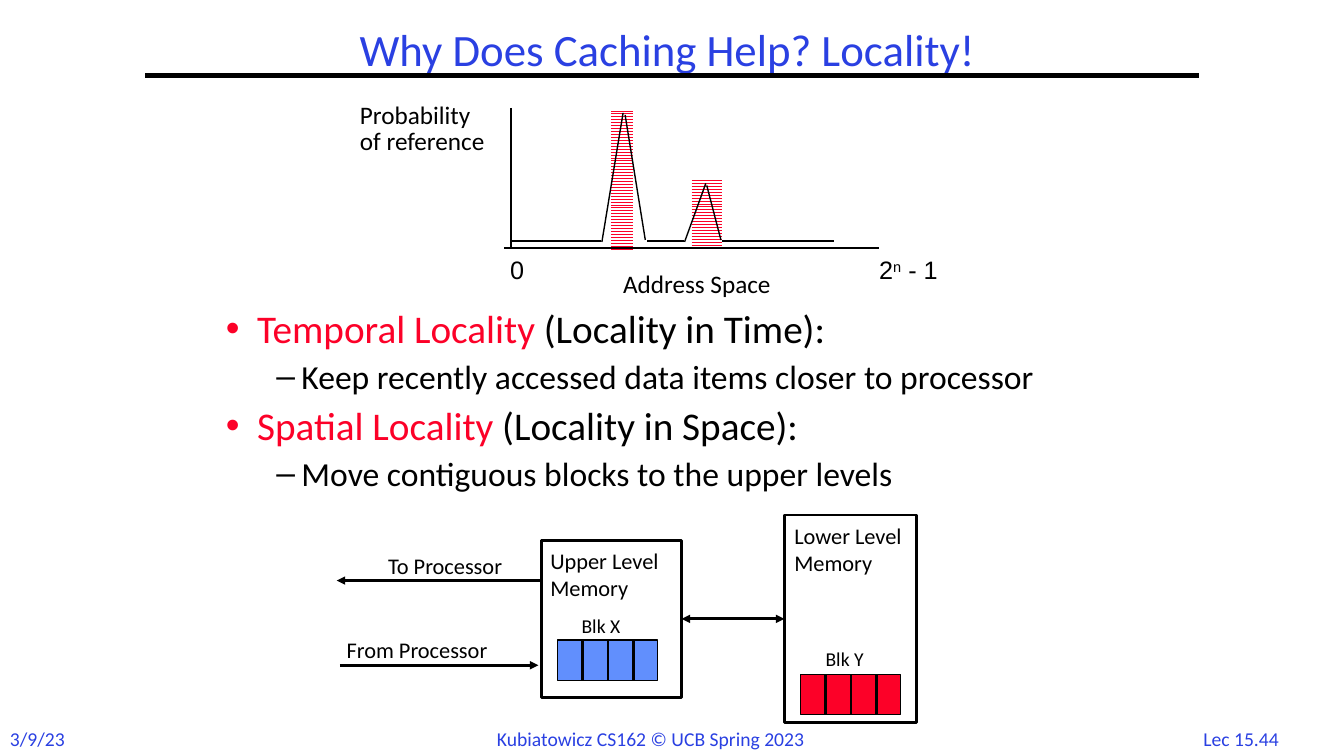
from lxml.etree import SubElement
from pptx import Presentation
from pptx.dml.color import RGBColor
from pptx.enum.dml import MSO_PATTERN
from pptx.enum.shapes import MSO_CONNECTOR, MSO_SHAPE
from pptx.enum.text import MSO_ANCHOR, MSO_AUTO_SIZE, PP_ALIGN
from pptx.oxml.ns import qn
from pptx.util import Pt

PX = 9144  # 100 px to the inch
THEME = dict(
    ink=RGBColor.from_string("000000"), paper=RGBColor.from_string("FFFFFF"),
    accent=RGBColor.from_string("2A40E2"), red=RGBColor.from_string("FC0128"),
    blue=RGBColor.from_string("618FFD"), font="Calibri", axis_font="Arial",
    title=32, topic=28, detail=24, chart=18, box=16, small=14,
)


def write(p, text, size="box", color="ink", font="font", raised=False):
    r = p.add_run()
    r.text = text
    r.font.size = Pt(THEME[size])
    r.font.name = THEME[font]
    r.font.color.rgb = THEME[color]
    if raised:
        r._r.get_or_add_rPr().set("baseline", "30000")


def line(x1, y1, x2, y2, width=1, head=False, tail=False):
    c = s.shapes.add_connector(MSO_CONNECTOR.STRAIGHT, x1 * PX, y1 * PX, x2 * PX, y2 * PX)
    c.line.color.rgb = THEME["ink"]
    c.line.width = Pt(width)
    spPr = c._element.spPr
    for shown, tag in ((head, "a:headEnd"), (tail, "a:tailEnd")):
        if shown:
            SubElement(spPr.find(qn("a:ln")), qn(tag), type="triangle")
    SubElement(spPr, qn("a:effectLst"))
    return c


prs = Presentation()
prs.slide_width, prs.slide_height = 1333 * PX, 750 * PX
s = prs.slides.add_slide(prs.slide_layouts[1])
title, body = s.placeholders[0], s.placeholders[1]

# Title and its rule
line(144, 75, 1189, 75, 3)
for ph, (x, y, w, h) in ((title, (310, 25, 704, 54)), (body, (217, 304, 933, 196))):
    ph.left, ph.top, ph.width, ph.height = x * PX, y * PX, w * PX, h * PX
    tf = ph.text_frame
    tf.margin_left = tf.margin_right = 7 * PX
    tf.margin_top = tf.margin_bottom = 3 * PX
    tf.auto_size = MSO_AUTO_SIZE.SHAPE_TO_FIT_TEXT
    tf.word_wrap = ph is body
p = title.text_frame.paragraphs[0]
p.alignment, p.line_spacing = PP_ALIGN.CENTER, 0.9
write(p, "Why Does Caching Help? Locality!", size="title", color="accent")

# Kinds of locality
tf = body.text_frame
tf.vertical_anchor = MSO_ANCHOR.TOP
topics = [
    ("Temporal Locality ", "(Locality in Time):",
     "Keep recently accessed data items closer to processor"),
    ("Spatial Locality ", "(Locality in Space):",
     "Move contiguous blocks to the upper levels"),
]
for i, (term, meaning, detail) in enumerate(topics):
    topic = tf.add_paragraph() if i else tf.paragraphs[0]
    write(topic, term, size="topic", color="red")
    write(topic, meaning, size="topic")
    sub = tf.add_paragraph()
    sub.level = 1
    write(sub, detail, size="detail")
    for p, left, hang, before in ((topic, 31, 31, 7), (sub, 75, 25, 6)):
        p.line_spacing, p.space_before = 0.9, Pt(before)
        pPr = p._p.get_or_add_pPr()
        pPr.set("marL", str(left * PX))
        pPr.set("indent", str(-hang * PX))

# Hot address ranges
for x, y, w, h in ((686, 176, 30, 70), (606, 107, 22, 140)):
    sp = s.shapes.add_shape(MSO_SHAPE.RECTANGLE, x * PX, y * PX, w * PX, h * PX)
    sp.shadow.inherit = False
    sp.fill.patterned()
    sp.fill.pattern = MSO_PATTERN.ZIG_ZAG
    sp.fill.fore_color.rgb = THEME["red"]
    sp.fill.back_color.rgb = THEME["paper"]
    sp.line.fill.background()

# Axes and probability curve
for ends in (
    (507, 107, 507, 245), (500, 246, 872, 246),
    (507, 239, 596, 239), (597, 240, 618, 112), (620, 114, 640, 238),
    (642, 239, 678, 239), (679, 240, 700, 182), (701, 184, 715, 238),
    (716, 239, 827, 239),
):
    line(*ends)

# Memory levels and their blocks
rects = []
for x, y, w, h, fill, width in (
    (537, 536, 139, 156, None, 2), (778, 511, 131, 206, "paper", 2),
    (553, 635, 99, 40, "blue", 1), (794, 669, 99, 40, "red", 1),
):
    sp = s.shapes.add_shape(MSO_SHAPE.RECTANGLE, x * PX, y * PX, w * PX, h * PX)
    sp.shadow.inherit = False
    if fill:
        sp.fill.solid()
        sp.fill.fore_color.rgb = THEME[fill]
    else:
        sp.fill.background()
    sp.line.color.rgb = THEME["ink"]
    sp.line.width = Pt(width)
    rects.append(sp)
upper, lower = rects[:2]
for x, y in ((553, 635), (794, 669)):
    for i in range(1, 4):
        line(x + 25 * i, y, x + 25 * i, y + 40, 2)

# Data flow
line(537, 576, 334, 576, 2, tail=True)
line(337, 660, 534, 660, 2, tail=True)
link = line(676, 614, 778, 614, 2, head=True, tail=True)
link.begin_connect(upper, 3)
link.end_connect(lower, 1)

# Labels: place, lines, format
chart = dict(size="chart")
axis = dict(size="chart", font="axis_font")
small = dict(size="small")
footer = dict(size="small", color="accent")
for x, y, w, h, lines, fmt in (
    (350, 100, 149, 57, ["Probability", "of reference"], chart),
    (611, 268, 185, 31, ["Address Space"], chart),
    (499, 254, 28, 31, ["0"], axis),
    (865, 254, 74, 31, ["2^n^ - 1"], axis),
    (778, 513, 141, 64, ["Lower Level", "Memory"], {}),
    (536, 538, 141, 64, ["Upper Level", "Memory"], {}),
    (375, 543, 151, 37, ["To Processor"], {}),
    (334, 626, 180, 37, ["From Processor"], {}),
    (567, 604, 66, 33, ["Blk X"], small),
    (809, 637, 66, 33, ["Blk Y"], small),
    (0, 716, 75, 34, ["3/9/23"], footer),
    (483, 716, 368, 34, ["Kubiatowicz CS162 © UCB Spring 2023"], footer),
    (1177, 716, 108, 33, ["Lec 15.44"], footer),
):
    tf = s.shapes.add_textbox(x * PX, y * PX, w * PX, h * PX).text_frame
    tf.word_wrap = False
    tf.auto_size = MSO_AUTO_SIZE.SHAPE_TO_FIT_TEXT
    in_chart = fmt in (chart, axis)
    tf.margin_left = tf.margin_right = (7 if in_chart else 10) * PX
    tf.margin_top = tf.margin_bottom = (3 if in_chart else 5) * PX
    for i, text in enumerate(lines):
        p = tf.add_paragraph() if i else tf.paragraphs[0]
        if in_chart:
            p.line_spacing = 0.85
        if x == 1177:
            p.alignment = PP_ALIGN.CENTER
        # Carets enclose a superscript
        for k, part in enumerate(text.split("^")):
            write(p, part, raised=k == 1, **fmt)

prs.save("out.pptx")
